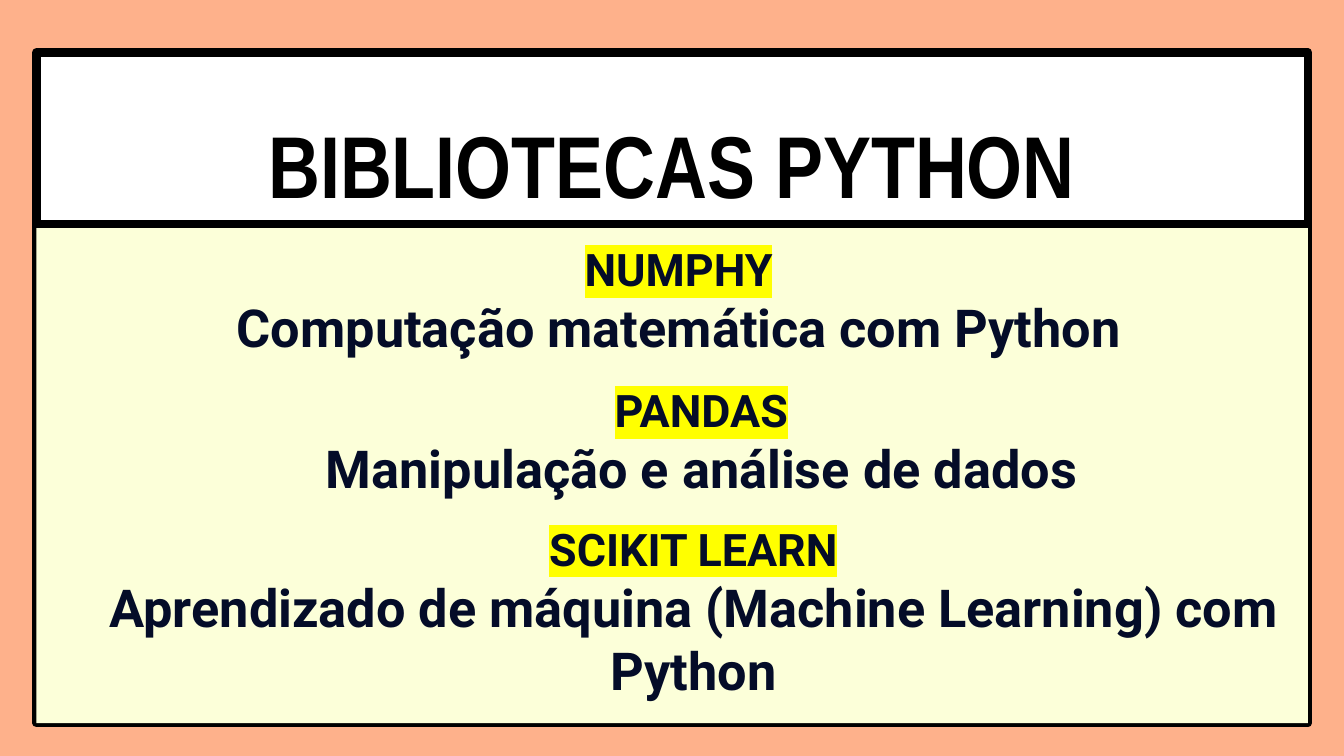
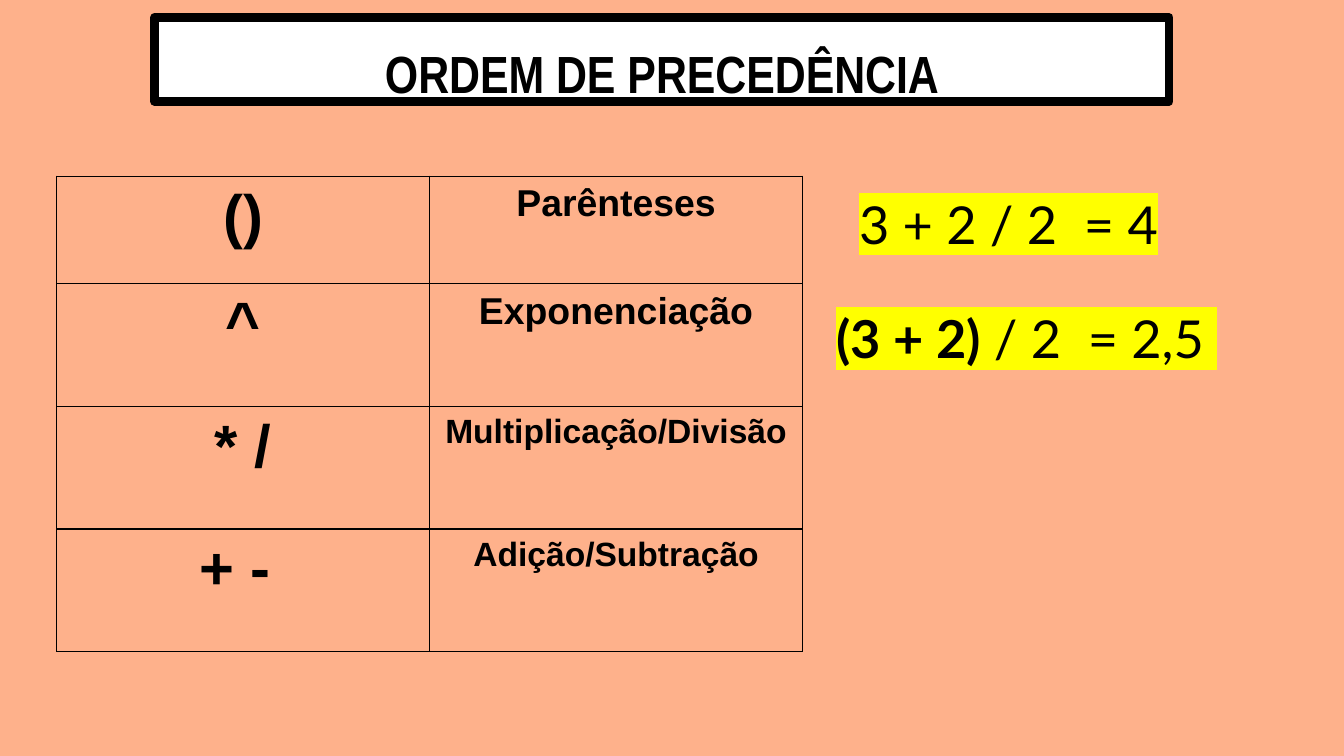
from lxml.etree import SubElement
from pptx import Presentation
from pptx.dml.color import RGBColor
from pptx.enum.shapes import MSO_SHAPE as Preset
from pptx.enum.text import MSO_ANCHOR as Anchor, MSO_AUTO_SIZE as AutoSize, PP_ALIGN as Align
from pptx.oxml.ns import qn
from pptx.util import Cm, Pt

SALMON = RGBColor(0xFE, 0xB1, 0x8B)
CREAM = RGBColor(0xFC, 0xFF, 0xD9)
WHITE = RGBColor(0xFF, 0xFF, 0xFF)
BLACK = RGBColor(0x00, 0x00, 0x00)
NAVY = RGBColor(0x04, 0x0C, 0x28)
YELLOW = RGBColor(0xFF, 0xFF, 0x00)

FRAME_LINE = Pt(4.5)
GRID_LINE = Pt(0.75)
TITLE_ONLY = 5

LIBRARIES = [
    # left, top, height, name, purpose
    (1.09, 4.57, 4.62, "NUMPHY", "Computação matemática com Python"),
    (1.52, 7.24, 4.62, "PANDAS", "Manipulação e análise de dados"),
    (1.37, 9.86, 5.82, "SCIKIT LEARN",
     "Aprendizado de máquina (Machine Learning) com Python"),
]
OPERATORS = [
    # symbol, name, size of the name
    ("()", "Parênteses", 20),
    ("^", "Exponenciação", 20),
    ("* /", "Multiplicação/Divisão", 18),
    ("+ - ", "Adição/Subtração", 18),
]


def cm_box(box):
    return [Cm(length) for length in box]


def style(para, name, size, color, bold=True):
    para.alignment = Align.CENTER
    font = para.font
    font.name, font.size, font.bold = name, Pt(size), bold
    font.color.rgb = color


def add_span(para, text, highlight=None):
    span = para.add_run()
    span.text = text
    if highlight is not None:
        mark = SubElement(span.font._element, qn("a:highlight"))
        SubElement(mark, qn("a:srgbClr"), val=str(highlight))
    return span


def set_frame(frame, margin):
    frame.word_wrap = True
    frame.auto_size = AutoSize.NONE
    frame.vertical_anchor = Anchor.TOP
    frame.margin_left = frame.margin_right = Cm(margin)
    frame.margin_top = frame.margin_bottom = Cm(margin)


def add_text_box(page, box, margin=0):
    frame = page.shapes.add_textbox(*cm_box(box)).text_frame
    set_frame(frame, margin)
    return frame


def add_rectangle(page, box, fill, outlined=True):
    shape = page.shapes.add_shape(Preset.RECTANGLE, *cm_box(box))
    shape.shadow.inherit = False
    shape.fill.solid()
    shape.fill.fore_color.rgb = fill
    if outlined:
        shape.line.color.rgb = BLACK
        shape.line.width = FRAME_LINE
    else:
        shape.line.fill.background()


def add_banner(page, box, text, size, inset, text_height):
    """Framed white band with the slide title inset in it by (x, y)."""
    left, top, width, _ = box
    add_rectangle(page, box, WHITE)
    title = page.shapes.title
    title.left, title.top, title.width, title.height = cm_box(
        (left + inset[0], top + inset[1], width - 2 * inset[0], text_height))
    title.element.getparent().append(title.element)  # bring in front of the band
    set_frame(title.text_frame, 0)
    para = title.text_frame.paragraphs[0]
    para.line_spacing = 1.4
    style(para, "Arial Narrow", size, BLACK)
    add_span(para, text)


def add_panel(page, box):
    """Cream panel whose cover hides the inner half of the outline."""
    left, top, width, height = box
    overlap = 0.2
    add_rectangle(page, box, CREAM)
    add_rectangle(page, (left, top - overlap, width, height + overlap), CREAM, outlined=False)


def add_library(page, box, name, purpose):
    frame = add_text_box(page, box)
    heading = frame.paragraphs[0]
    style(heading, "Roboto", 24, NAVY)
    add_span(heading, name, YELLOW)
    detail = frame.add_paragraph()
    style(detail, "Roboto", 28, NAVY)
    add_span(detail, purpose)


def format_cell(cell, text, size):
    properties = cell._tc.get_or_add_tcPr()
    for side in ("a:lnL", "a:lnR", "a:lnT", "a:lnB"):
        line = SubElement(properties, qn(side), w=str(GRID_LINE))
        fill = SubElement(line, qn("a:solidFill"))
        SubElement(fill, qn("a:srgbClr"), val=str(BLACK))
    cell.fill.background()
    para = cell.text_frame.paragraphs[0]
    style(para, "Arial", size, BLACK)
    add_span(para, text)


def add_operator_table(page, box, first_height):
    table = page.shapes.add_table(len(OPERATORS), 2, *cm_box(box)).table
    table.first_row = table.horz_banding = False
    other_height = (box[3] - first_height) / (len(OPERATORS) - 1)
    for index, (symbol, name, size) in enumerate(OPERATORS):
        table.rows[index].height = Cm(other_height if index else first_height)
        format_cell(table.cell(index, 0), symbol, 32)
        format_cell(table.cell(index, 1), name, size)


def add_formula(page, box, spans):
    """Highlighted formula made of (text, bold) spans."""
    para = add_text_box(page, box, margin=0.25).paragraphs[0]
    style(para, "Lato", 28, BLACK, bold=False)
    for text, bold in spans:
        span = add_span(para, text, YELLOW)
        if bold:
            span.font.bold = True


def add_page(deck):
    return deck.slides.add_slide(deck.slide_layouts[TITLE_ONLY])


def build_libraries(deck):
    page = add_page(deck)
    add_panel(page, (0.69, 4.17, 24.03, 9.5))
    add_banner(page, (0.69, 0.99, 24.03, 3.25), "BIBLIOTECAS PYTHON", 47, (0, 0.31), 2.82)
    for left, top, height, name, purpose in LIBRARIES:
        add_library(page, (left, top, 23.47, height), name, purpose)


def build_precedence(deck):
    page = add_page(deck)
    add_banner(page, (2.92, 0.33, 19.18, 1.59), "ORDEM DE PRECEDÊNCIA", 28, (3.6, -0.03), 1.68)
    add_operator_table(page, (1.07, 3.33, 14.1, 8.99), first_height=2.03)
    add_formula(page, (15.34, 3.38, 7.44, 1.68), [("3 + 2 / 2  = 4", False)])
    add_formula(page, (14.73, 5.54, 9.35, 1.75), [("(3 + 2) ", True), ("/ 2  = 2,5 ", False)])


def main():
    deck = Presentation()
    deck.slide_width, deck.slide_height = Cm(25.4), Cm(14.29)
    backdrop = deck.slide_master.background.fill
    backdrop.solid()
    backdrop.fore_color.rgb = SALMON
    build_libraries(deck)
    build_precedence(deck)
    deck.save("out.pptx")


if __name__ == "__main__":
    main()
